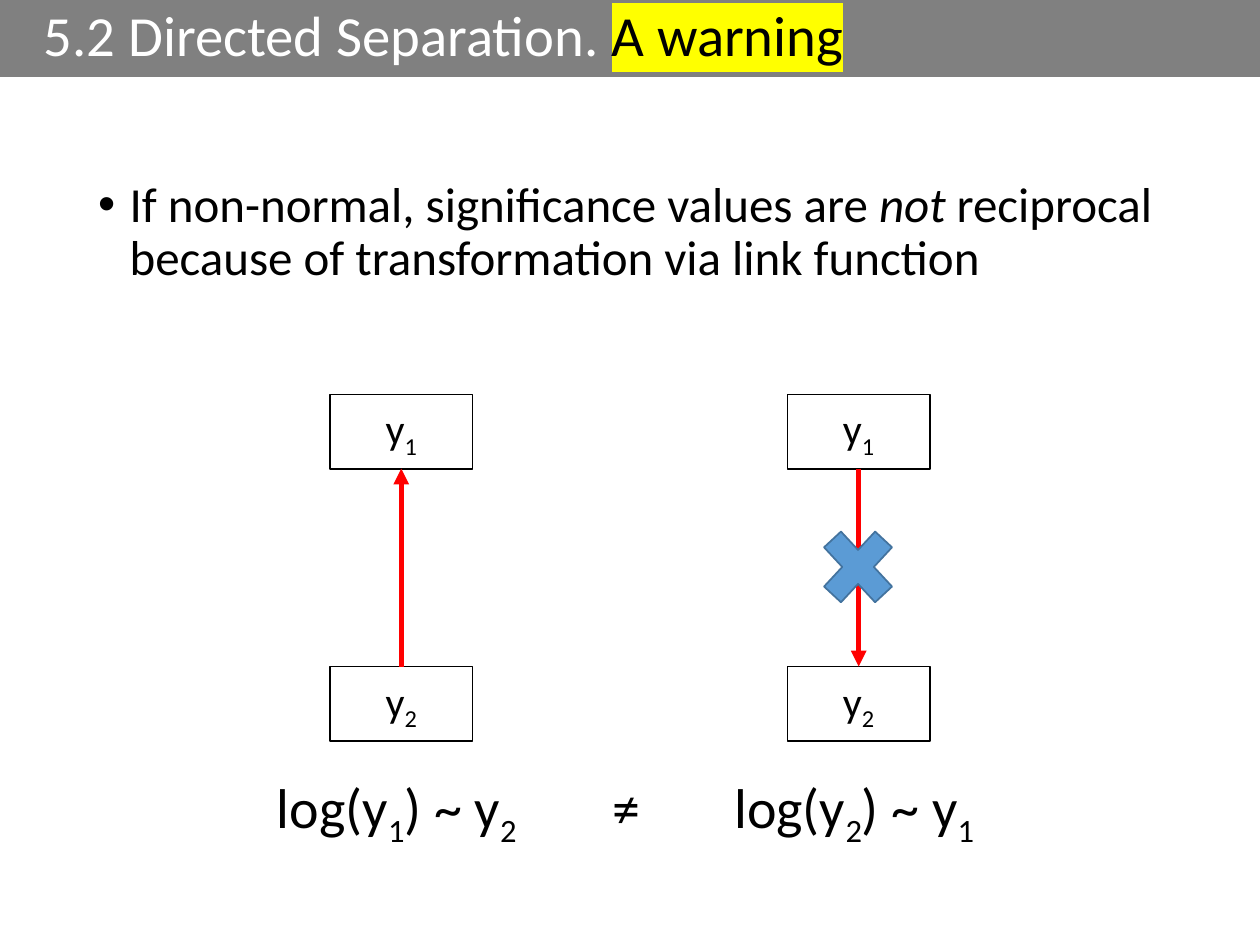
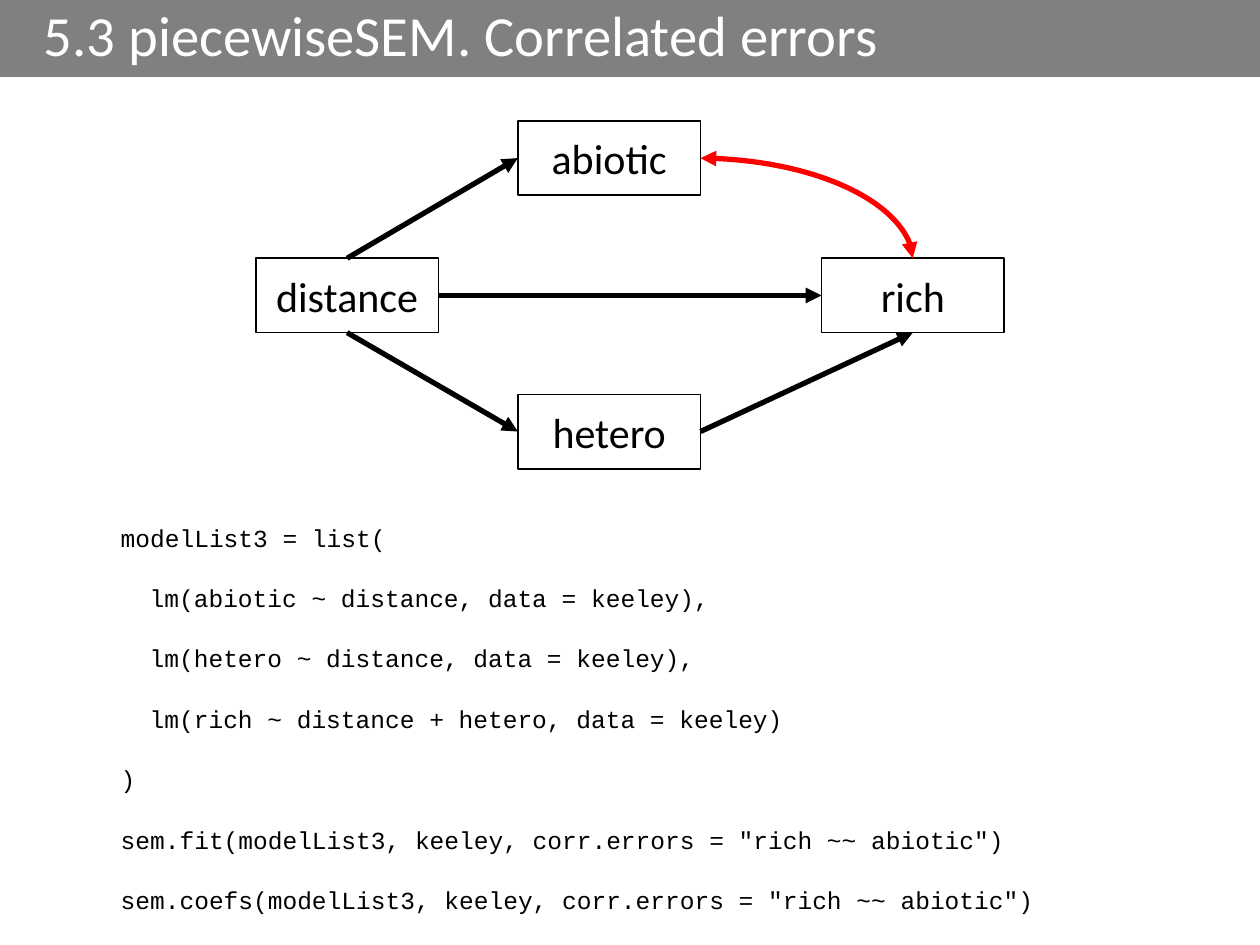
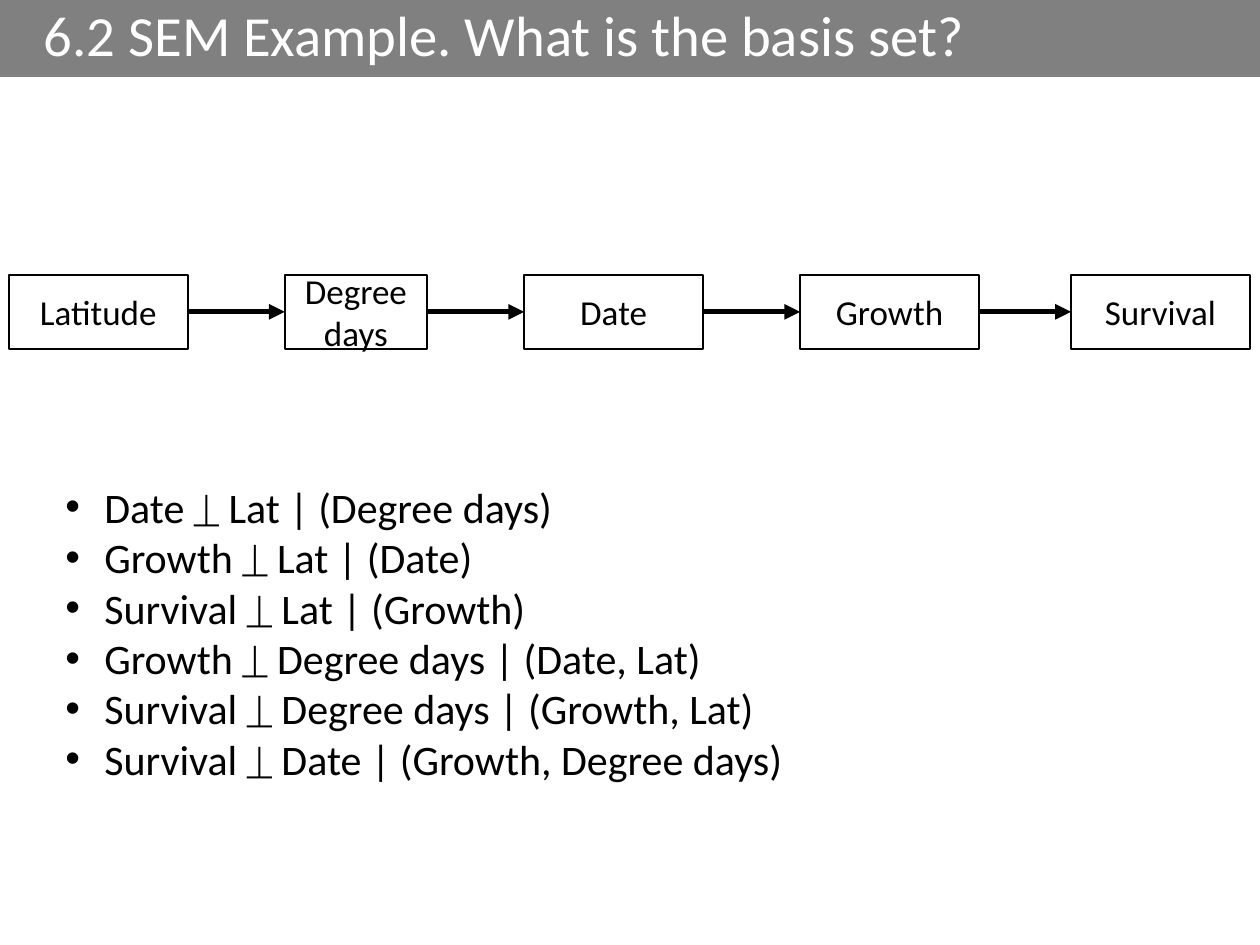
from lxml import etree
from pptx import Presentation
from pptx.dml.color import RGBColor
from pptx.enum.shapes import MSO_CONNECTOR, MSO_SHAPE
from pptx.enum.text import MSO_ANCHOR, MSO_AUTO_SIZE, PP_ALIGN
from pptx.oxml.ns import qn
from pptx.util import Inches, Pt

WIDTH, HEIGHT = 10, 7.5
BLACK, WHITE, GREY, RED = "000000", "FFFFFF", "808080", "FF0000"
YELLOW, BLUE, DARK_BLUE = "FFFF00", "5B9BD5", "43739E"
BAND_HEIGHT, BOX_HEIGHT = 0.61, 0.59
TOP, LEFT, BOTTOM, RIGHT = range(4)


def sub(digit):
    return digit, {"base": -25}


WARNING_TITLE = ["5.2 Directed Separation. ", ("A warning", {"color": BLACK, "highlight": YELLOW})]
WARNING = ["If non-normal, significance values are ", ("not", {"italic": True}),
           " reciprocal because of transformation via link function"]
Y_WIDTH = 1.13
Y_ROWS = {"1": 3.13, "2": 5.29}
Y_PATHS = [
    {"left": 2.62, "cause": "2", "effect": "1"},
    {"left": 6.25, "cause": "1", "effect": "2"},
]
FORMULAS = [
    (2.1, 2.17, ["log(y", sub("1"), ") ~ y", sub("2")]),
    (4.76, 0.43, ["≠"]),
    (5.73, 2.17, ["log(y", sub("2"), ") ~ y", sub("1")]),
]

ERRORS_TITLE = ["5.3 piecewiseSEM. Correlated errors"]
VARIABLE_WIDTH = 1.45
VARIABLES = {"distance": (2.03, 2.05), "rich": (6.52, 2.05),
             "hetero": (4.11, 3.13), "abiotic": (4.11, 0.96)}
EFFECTS = [
    ("distance", BOTTOM, "hetero", LEFT),
    ("hetero", RIGHT, "rich", BOTTOM),
    ("distance", TOP, "abiotic", LEFT),
    ("distance", RIGHT, "rich", LEFT),
]
CODE = [
    (0, "modelList3 = list("),
    (1, "lm(abiotic ~ distance, data = keeley),"),
    (1, "lm(hetero ~ distance, data = keeley),"),
    (1, "lm(rich ~ distance + hetero, data = keeley)"),
    (0, ")"),
    (0, 'sem.fit(modelList3, keeley, corr.errors = "rich ~~ abiotic")'),
    (0, 'sem.coefs(modelList3, keeley, corr.errors = "rich ~~ abiotic")'),
]
CODE_INDENT = 0.23

BASIS_TITLE = ["6.2 SEM Example. What is the basis set?"]
CHAIN_TOP = 2.18
CHAIN = [("Latitude", 0.07, 1.42), ("Degree days", 2.26, 1.13), ("Date", 4.16, 1.42),
         ("Growth", 6.35, 1.42), ("Survival", 8.5, 1.42)]
BASIS_SET = [
    "Date ⏊ Lat | (Degree days)",
    "Growth ⏊ Lat | (Date)",
    "Survival ⏊ Lat | (Growth)",
    "Growth ⏊ Degree days | (Date, Lat)",
    "Survival ⏊ Degree days | (Growth, Lat)",
    "Survival ⏊ Date | (Growth, Degree days)",
]


def rgb(color):
    return RGBColor.from_string(color)


def add_run(paragraph, text, size, color, font, italic=False, base=None, highlight=None):
    run = paragraph.add_run()
    run.text = text
    run.font.size, run.font.italic = Pt(size), italic
    run.font.color.rgb = rgb(color)
    properties = run.font._element
    if base:
        properties.set("baseline", str(base * 1000))
    if highlight:
        mark = etree.SubElement(properties, qn("a:highlight"))
        etree.SubElement(mark, qn("a:srgbClr"), val=highlight)
    run.font.name = font


def write(frame, paragraphs, size=24, color=BLACK, font="Calibri", align=PP_ALIGN.LEFT,
          anchor=MSO_ANCHOR.TOP, margins=(0,), hanging=0, bullet=None,
          line_spacing=None, before=0, first_before=0, wrap=True, grow=False):
    frame.word_wrap, frame.vertical_anchor = wrap, anchor
    frame.auto_size = MSO_AUTO_SIZE.SHAPE_TO_FIT_TEXT if grow else MSO_AUTO_SIZE.NONE
    for index, runs in enumerate(paragraphs):
        paragraph = frame.add_paragraph() if index else frame.paragraphs[0]
        paragraph.alignment = align
        paragraph.space_before = Pt(before if index else first_before)
        if line_spacing:
            paragraph.line_spacing = line_spacing
        properties = paragraph._p.get_or_add_pPr()
        properties.set("marL", str(Inches(margins[index % len(margins)])))
        properties.set("indent", str(-Inches(hanging)))
        if bullet:
            etree.SubElement(properties, qn("a:buFont"), typeface="Arial")
            etree.SubElement(properties, qn("a:buChar"), char=bullet)
        for run in runs:
            text, changes = (run, {}) if isinstance(run, str) else run
            add_run(paragraph, text, **{"size": size, "color": color, "font": font, **changes})


def add_text(slide, at, paragraphs, **text_format):
    box = slide.shapes.add_textbox(*map(Inches, at))
    write(box.text_frame, paragraphs, **text_format)


def add_figure(slide, kind, at, fill, outline=None):
    figure = slide.shapes.add_shape(kind, *map(Inches, at))
    figure.shadow.inherit = False
    figure.fill.solid()
    figure.fill.fore_color.rgb = rgb(fill)
    if outline:
        figure.line.color.rgb = rgb(outline)
        figure.line.width = Pt(1)
    else:
        figure.line.fill.background()
    return figure


def add_node(slide, left, top, width, runs, size=24):
    node = add_figure(slide, MSO_SHAPE.RECTANGLE, (left, top, width, BOX_HEIGHT), WHITE, BLACK)
    write(node.text_frame, [runs], size=size, align=PP_ALIGN.CENTER, anchor=MSO_ANCHOR.MIDDLE)
    return node


def add_arrow(slide, start, start_side, end, end_side, color=BLACK, curved=False):
    kind = MSO_CONNECTOR.CURVE if curved else MSO_CONNECTOR.STRAIGHT
    arrow = slide.shapes.add_connector(kind, 0, 0, 0, 0)
    arrow.begin_connect(start, start_side)
    arrow.end_connect(end, end_side)
    arrow.line.color.rgb = rgb(color)
    arrow.line.width = Pt(3)
    properties = arrow._element.spPr
    line = properties.find(qn("a:ln"))
    if curved:
        properties.find(qn("a:prstGeom")).set("prst", "curvedConnector2")
        etree.SubElement(line, qn("a:headEnd"), type="triangle")
    etree.SubElement(line, qn("a:tailEnd"), type="triangle")
    etree.SubElement(properties, qn("a:effectLst"))


def add_slide(deck, title):
    slide = deck.slides.add_slide(deck.slide_layouts[6])
    band = add_figure(slide, MSO_SHAPE.RECTANGLE, (0, 0, WIDTH, BAND_HEIGHT), GREY)
    write(band.text_frame, [title], size=32.4, color=WHITE, anchor=MSO_ANCHOR.MIDDLE,
          margins=(0.25,), line_spacing=0.9)
    return slide


def build_warning(deck):
    slide = add_slide(deck, WARNING_TITLE)
    add_text(slide, (0.68, 1.38, 8.62, 4.76), [WARNING], size=28, margins=(0.25,),
             hanging=0.25, bullet="•", line_spacing=0.9, first_before=10)
    for path in Y_PATHS:
        nodes = {digit: add_node(slide, path["left"], top, Y_WIDTH, ["y", sub(digit)])
                 for digit, top in Y_ROWS.items()}
        upward = path["cause"] == "2"
        add_arrow(slide, nodes[path["cause"]], TOP if upward else BOTTOM,
                  nodes[path["effect"]], BOTTOM if upward else TOP, RED)
    for left, width, formula in FORMULAS:
        add_text(slide, (left, 6.08, width, 0.64), [formula], size=32, wrap=False, grow=True)
    add_figure(slide, MSO_SHAPE.MATH_MULTIPLY, (6.42, 4.08, 0.78, 0.84), BLUE, DARK_BLUE)


def build_errors(deck):
    slide = add_slide(deck, ERRORS_TITLE)
    nodes = {name: add_node(slide, left, top, VARIABLE_WIDTH, [name])
             for name, (left, top) in VARIABLES.items()}
    for cause, cause_side, effect, effect_side in EFFECTS:
        add_arrow(slide, nodes[cause], cause_side, nodes[effect], effect_side)
    add_arrow(slide, nodes["abiotic"], RIGHT, nodes["rich"], TOP, RED, curved=True)
    add_text(slide, (0.86, 4.1, 7.48, 3.16), [[line] for _, line in CODE], size=14,
             font="Courier New", margins=[level * CODE_INDENT for level, _ in CODE],
             before=17.7)


def build_basis(deck):
    slide = add_slide(deck, BASIS_TITLE)
    nodes = [add_node(slide, left, CHAIN_TOP, width, [name], size=20)
             for name, left, width in CHAIN]
    for cause, effect in zip(nodes, nodes[1:]):
        add_arrow(slide, cause, RIGHT, effect, LEFT)
    add_text(slide, (0.42, 3.77, 9.16, 2.52), [[claim] for claim in BASIS_SET],
             margins=(0.31,), hanging=0.31, bullet="•", grow=True)


def main():
    deck = Presentation()
    deck.slide_width, deck.slide_height = Inches(WIDTH), Inches(HEIGHT)
    for build in (build_warning, build_errors, build_basis):
        build(deck)
    deck.save("out.pptx")


if __name__ == "__main__":
    main()
